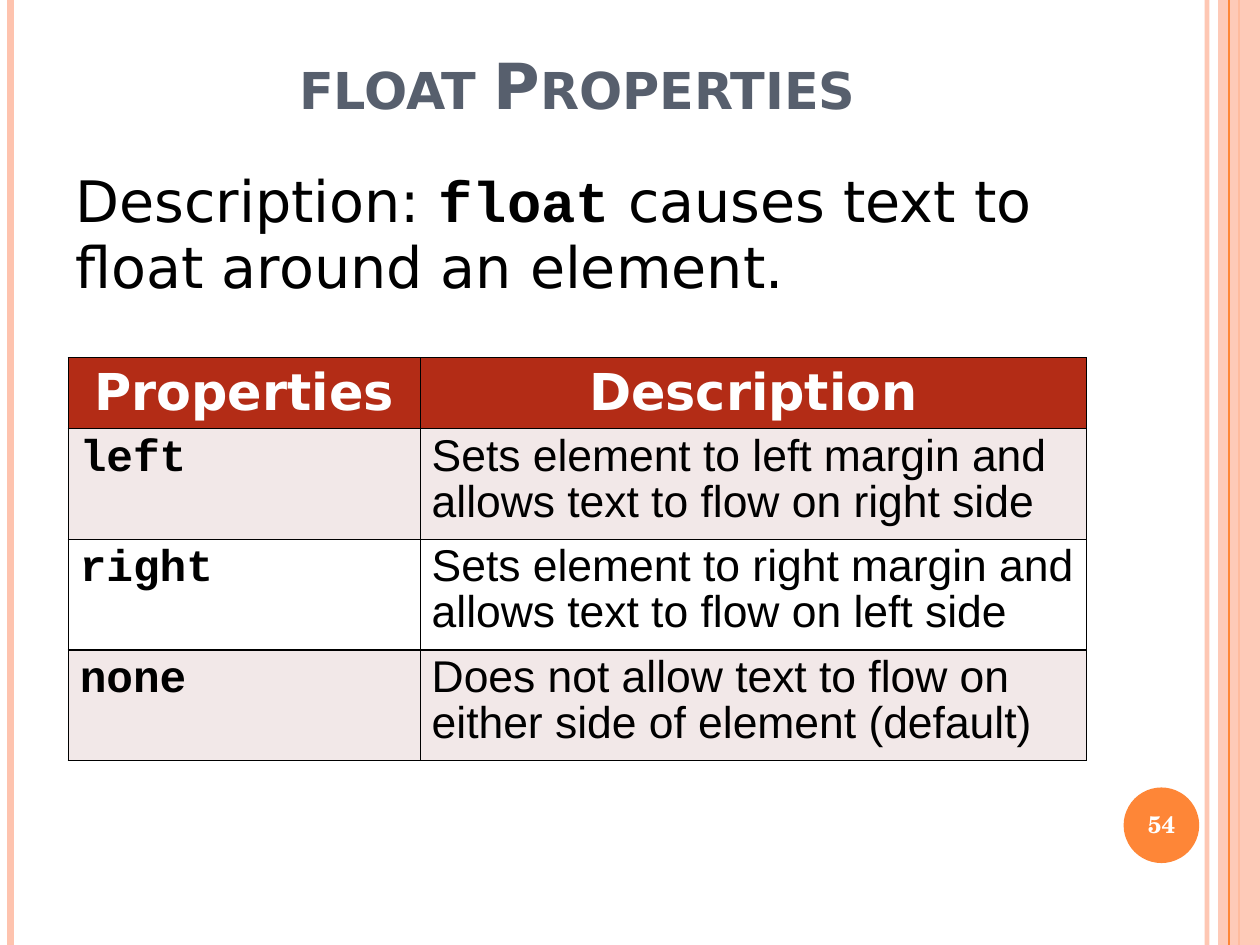
"""Build the slide on the float properties."""
from lxml import etree
from pptx import Presentation
from pptx.dml.color import RGBColor
from pptx.enum.shapes import MSO_CONNECTOR, MSO_SHAPE
from pptx.enum.text import MSO_ANCHOR, MSO_AUTO_SIZE, PP_ALIGN
from pptx.oxml.ns import qn
from pptx.util import Cm, Pt

STRAIGHT = MSO_CONNECTOR.STRAIGHT
RECTANGLE, OVAL = MSO_SHAPE.RECTANGLE, MSO_SHAPE.OVAL
TOP, MIDDLE, BOTTOM = MSO_ANCHOR.TOP, MSO_ANCHOR.MIDDLE, MSO_ANCHOR.BOTTOM
LEFT, CENTER = PP_ALIGN.LEFT, PP_ALIGN.CENTER
NO_FIT = MSO_AUTO_SIZE.NONE

WIDTH, HEIGHT = 28, 21
TITLE_ONLY = 5
SANS, MONO, ARIAL, SERIF = "DejaVu Sans", "Courier New", "Arial", "TeX Gyre Schola"
ORANGE, PEACH, RED, PINK = "FE8637", "FEC3AE", "B32C16", "F2E8E8"
SLATE, BLACK, WHITE = "575F6D", "000000", "FFFFFF"

TITLE = "float Properties"
DESCRIPTION = [
    ("Description: ", SANS, False),
    ("float", MONO, True),
    (" causes text to float around an element.", SANS, False),
]
PAGE_NUMBER = "54"
HEADERS = ["Properties", "Description"]
PROPERTIES = [
    ("left", "Sets element to left margin and allows text to flow on right side"),
    ("right", "Sets element to right margin and allows text to flow on left side"),
    ("none", "Does not allow text to flow on either side of element (default)"),
]
COLUMN_WIDTHS = [7.82, 14.81]
HEADER_HEIGHT, ROW_HEIGHT = 1.57, 2.46

BACK_STRIPES = [
    (26.82, PEACH, 3, 93),
    (0.23, PEACH, 4.5, 100),
    (27.53, ORANGE, 1.5, 100),
]
FRONT_STRIPE = (27.31, ORANGE, 0.75, 100)
BAND_LEFT, BAND_WIDTH, BAND_OPACITY = 27.07, 0.93, 87


def color(value):
    return RGBColor.from_string(value)


def set_opacity(element, percent):
    for tint in element.iter(qn("a:srgbClr")):
        etree.SubElement(tint, qn("a:alpha"), val=str(percent * 1000))


def add_stripe(page, left, tint, weight, opacity):
    stripe = page.shapes.add_connector(STRAIGHT, Cm(left), 0, Cm(left), Cm(HEIGHT))
    stripe.line.color.rgb = color(tint)
    stripe.line.width = Pt(weight)
    if opacity < 100:
        set_opacity(stripe.line._get_or_add_ln(), opacity)
    etree.SubElement(stripe._element.spPr, qn("a:effectLst"))


def add_block(page, preset, left, top, width, height, tint):
    block = page.shapes.add_shape(preset, Cm(left), Cm(top), Cm(width), Cm(height))
    block.shadow.inherit = False
    block.fill.solid()
    block.fill.fore_color.rgb = color(tint)
    block.line.fill.background()
    return block


def add_span(para, text, face, size, tint, bold):
    span = para.add_run()
    span.text = text
    span.font.name = face
    span.font.size = Pt(size)
    span.font.bold = bold
    span.font.color.rgb = color(tint)
    return span


def prepare(box, anchor, align, margin_top, spacing=1.0):
    frame = box.text_frame
    frame.word_wrap = True
    frame.auto_size = NO_FIT
    frame.vertical_anchor = anchor
    frame.margin_left = frame.margin_right = Cm(0.28)
    frame.margin_top, frame.margin_bottom = Cm(margin_top), Cm(0.15)
    para = frame.paragraphs[0]
    para.alignment = align
    para.line_spacing = spacing
    return para


def add_text_box(page, left, top, width, height):
    return page.shapes.add_textbox(Cm(left), Cm(top), Cm(width), Cm(height))


def fill_cell(cell, text, face, size, tint, bold, back, align, spacing):
    para = cell.text_frame.paragraphs[0]
    para.alignment = align
    para.line_spacing = spacing
    add_span(para, text, face, size, tint, bold)
    properties = cell._tc.get_or_add_tcPr()
    for side in ("a:lnL", "a:lnR", "a:lnT", "a:lnB"):
        border = etree.SubElement(properties, qn(side), w=str(Pt(1)))
        paint = etree.SubElement(border, qn("a:solidFill"))
        etree.SubElement(paint, qn("a:srgbClr"), val=BLACK)
    cell.fill.solid()
    cell.fill.fore_color.rgb = color(back)


def add_property_table(page):
    heights = [HEADER_HEIGHT] + [ROW_HEIGHT] * len(PROPERTIES)
    table = page.shapes.add_table(
        len(heights), len(HEADERS), Cm(1.52), Cm(7.95),
        Cm(sum(COLUMN_WIDTHS)), Cm(sum(heights))).table
    for column, width in zip(table.columns, COLUMN_WIDTHS):
        column.width = Cm(width)
    for row, height in zip(table.rows, heights):
        row.height = Cm(height)
    for index, header in enumerate(HEADERS):
        fill_cell(table.cell(0, index), header, SANS, 32, WHITE, True, RED, CENTER, 1.0)
    for number, (name, meaning) in enumerate(PROPERTIES, 1):
        back = PINK if number % 2 else WHITE
        fill_cell(table.cell(number, 0), name, MONO, 28, BLACK, True, back, LEFT, 0.93)
        fill_cell(table.cell(number, 1), meaning, ARIAL, 28, BLACK, False, back, LEFT, 0.93)


def main():
    deck = Presentation()
    deck.slide_width, deck.slide_height = Cm(WIDTH), Cm(HEIGHT)
    page = deck.slides.add_slide(deck.slide_layouts[TITLE_ONLY])

    for stripe in BACK_STRIPES:
        add_stripe(page, *stripe)
    band = add_block(page, RECTANGLE, BAND_LEFT, 0, BAND_WIDTH, HEIGHT, PEACH)
    set_opacity(band._element.spPr, BAND_OPACITY)
    add_stripe(page, *FRONT_STRIPE)
    add_block(page, OVAL, 24.97, 17.5, 1.68, 1.68, ORANGE)

    title = page.shapes.title
    title.left, title.top, title.width, title.height = Cm(1.4), Cm(0.84), Cm(22.86), Cm(2.03)
    para = prepare(title, BOTTOM, CENTER, 0.1)
    span = add_span(para, TITLE, SANS, 40, SLATE, True)
    span.font._element.set("cap", "small")

    description = add_text_box(page, 1.4, 3.73, 24.87, 4)
    para = prepare(description, TOP, LEFT, 0.03, 0.97)
    for text, face, bold in DESCRIPTION:
        add_span(para, text, face, 36, BLACK, bold)

    number = add_text_box(page, 24.89, 17.55, 1.85, 1.6)
    para = prepare(number, MIDDLE, CENTER, 0.15, 0.93)
    add_span(para, PAGE_NUMBER, SERIF, 15, WHITE, True)

    add_property_table(page)
    deck.save("out.pptx")


if __name__ == "__main__":
    main()
